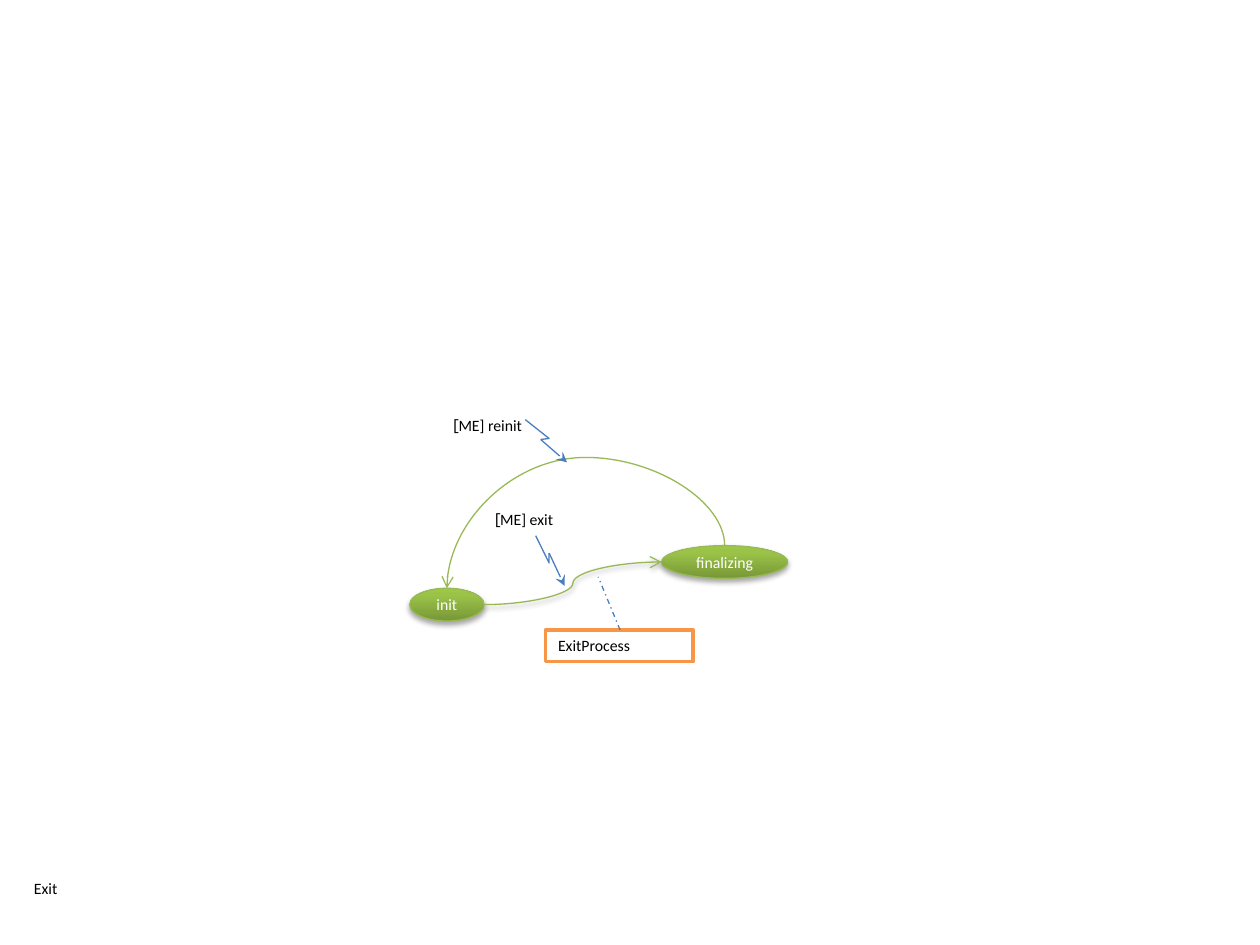
from copy import deepcopy
from typing import NamedTuple

from lxml import etree
from pptx import Presentation, util as u
from pptx.dml.color import RGBColor
from pptx.enum import dml, shapes, text
from pptx.oxml.ns import qn

GREEN, BLUE, ORANGE = "98B955", "4B7EBC", "F79646"
WHITE, BLACK = "FFFFFF", "000000"
STATE_STOPS = [(0, "779737"), (0.8, "9BC348"), (1, "9DC746")]

Point = tuple[float, float]


class State(NamedTuple):
    name: str
    left: float
    top: float
    width: float
    height: float = 0.66

    @property
    def mid_x(self) -> float:
        return self.left + self.width / 2

    @property
    def mid_y(self) -> float:
        return self.top + self.height / 2


class Event(NamedTuple):
    name: str
    label_at: Point
    label_width: float
    bolt: list[Point]  # three corners of the zigzag, then the arrow tip


def rgb(colour: str) -> RGBColor:
    return RGBColor.from_string(colour)


def child(parent, tag: str, **attributes):
    element = etree.SubElement(parent, qn(tag))
    for key, value in attributes.items():
        element.set(key, str(value))
    return element


def write(shape, *runs: tuple[str, str], colour=BLACK, size=9, wrap=True,
          align=text.PP_ALIGN.LEFT, anchor=text.MSO_ANCHOR.TOP,
          fit=text.MSO_AUTO_SIZE.SHAPE_TO_FIT_TEXT) -> None:
    """Fill a shape with (words, font) runs."""
    frame = shape.text_frame
    frame.word_wrap, frame.auto_size, frame.vertical_anchor = wrap, fit, anchor
    paragraph = frame.paragraphs[0]
    paragraph.alignment = align
    for words, font in runs:
        run = paragraph.add_run()
        run.text = words
        run.font.name, run.font.size = font, u.Pt(size)
        run.font.color.rgb = rgb(colour)


def outline(shape, colour: str, width: float = 0.75) -> None:
    shape.line.color.rgb = rgb(colour)
    shape.line.width = u.Pt(width)


def soft_shadow(effects) -> None:
    shadow = child(effects, "a:outerShdw", blurRad=u.Pt(3.1), dist=u.Pt(1.8),
                   dir=5400000, rotWithShape=0)
    child(child(shadow, "a:srgbClr", val=BLACK), "a:alpha", val=35000)


def connect(parent, start: Point, end: Point, colour: str, head: str = "",
            kind=shapes.MSO_CONNECTOR.STRAIGHT, shadow=False, dash=None):
    line = parent.add_connector(kind, *map(u.Cm, (*start, *end)))
    outline(line, colour)
    if dash:
        line.line.dash_style = dash
    properties = line._element.spPr
    if head:
        child(properties.find(qn("a:ln")), "a:tailEnd", type=head)
    effects = child(properties, "a:effectLst")
    if shadow:
        soft_shadow(effects)
    return line


def draw_state(state: State) -> None:
    oval = slide.shapes.add_shape(shapes.MSO_SHAPE.OVAL, *map(u.Cm, state[1:]))
    outline(oval, GREEN)
    oval.fill.gradient()
    oval.fill.gradient_angle = 90
    first = oval.fill.gradient_stops[0]._gs
    first.addnext(deepcopy(first))
    for stop, (position, colour) in zip(oval.fill.gradient_stops, STATE_STOPS):
        stop.position = position
        stop.color.rgb = rgb(colour)
    oval.shadow.inherit = False
    soft_shadow(oval._element.spPr.find(qn("a:effectLst")))
    write(oval, (state.name, "Calibri"), colour=WHITE,
          align=text.PP_ALIGN.CENTER, anchor=text.MSO_ANCHOR.MIDDLE,
          fit=text.MSO_AUTO_SIZE.NONE)


def draw_event(event: Event) -> None:
    label = slide.shapes.add_textbox(
        *map(u.Cm, (*event.label_at, event.label_width, 0.64)))
    write(label, ("[", "Cabin"), (f"ME] {event.name}", "Calibri"))
    # Lightning arrow: open zigzag plus arrow
    group = slide.shapes.add_group_shape().shapes
    start, *corners = [(u.Cm(x), u.Cm(y)) for x, y in event.bolt[:3]]
    builder = group.build_freeform(*start)
    builder.add_line_segments(corners, close=False)
    zigzag = builder.convert_to_shape()
    zigzag.fill.background()
    outline(zigzag, BLUE)
    zigzag.shadow.inherit = False
    connect(group, event.bolt[2], event.bolt[3], BLUE, "stealth")


deck = Presentation()
deck.slide_width, deck.slide_height = u.Cm(25.4), u.Cm(19.05)
slide = deck.slides.add_slide(deck.slide_layouts[5])

# Diagram title
title = slide.shapes.title
title.left, title.top, title.width, title.height = map(
    u.Cm, (0.43, 17.58, 0.99, 0.64))
write(title, ("Exit", "Calibri"), wrap=False)

# States
init = State("init", 8.26, 11.86, 1.5)
finalizing = State("finalizing", 13.34, 11, 2.54)
for state in (init, finalizing):
    draw_state(state)

# Transition from init to finalizing
connect(slide.shapes, (init.left + init.width, init.mid_y),
        (finalizing.left, finalizing.mid_y), GREEN, "arrow",
        shapes.MSO_CONNECTOR.CURVE, shadow=True)

# Transition back: a quarter-turned curve that bulges above both states
span, drop = finalizing.mid_x - init.mid_x, init.top - finalizing.top
centre_x = (finalizing.mid_x + init.mid_x) / 2
centre_y = (finalizing.top + init.top) / 2
back = connect(slide.shapes, (centre_x + drop / 2, centre_y + span / 2),
               (centre_x - drop / 2, centre_y - span / 2), GREEN, "arrow",
               shapes.MSO_CONNECTOR.CURVE)
back._element.spPr.find(qn("a:xfrm")).set("rot", str(270 * 60000))
guides = back._element.spPr.find(qn("a:prstGeom")).find(qn("a:avLst"))
child(guides, "a:gd", name="adj1", fmla="val -206800")

# Events that trigger the transitions
for event in (
    Event("exit", (9.73, 10.16), 3.76,
          [(10.8, 10.8), (11.07, 11.35), (11.07, 11.15), (11.38, 11.81)]),
    Event("reinit", (8.89, 8.26), 2.11,
          [(10.59, 8.46), (11.07, 8.84), (10.9, 8.86), (11.43, 9.32)]),
):
    draw_event(event)

# Process attached to the exit transition
process = slide.shapes.add_shape(
    shapes.MSO_SHAPE.RECTANGLE, *map(u.Cm, (11, 12.7, 2.97, 0.64)))
process.fill.solid()
process.fill.fore_color.rgb = rgb(WHITE)
outline(process, ORANGE, 2)
process.shadow.inherit = False
write(process, ("ExitProcess", "Calibri"))
connect(slide.shapes, (12.5, 12.7), (12.06, 11.63), BLUE,
        dash=dml.MSO_LINE.DASH_DOT)

deck.save("out.pptx")
